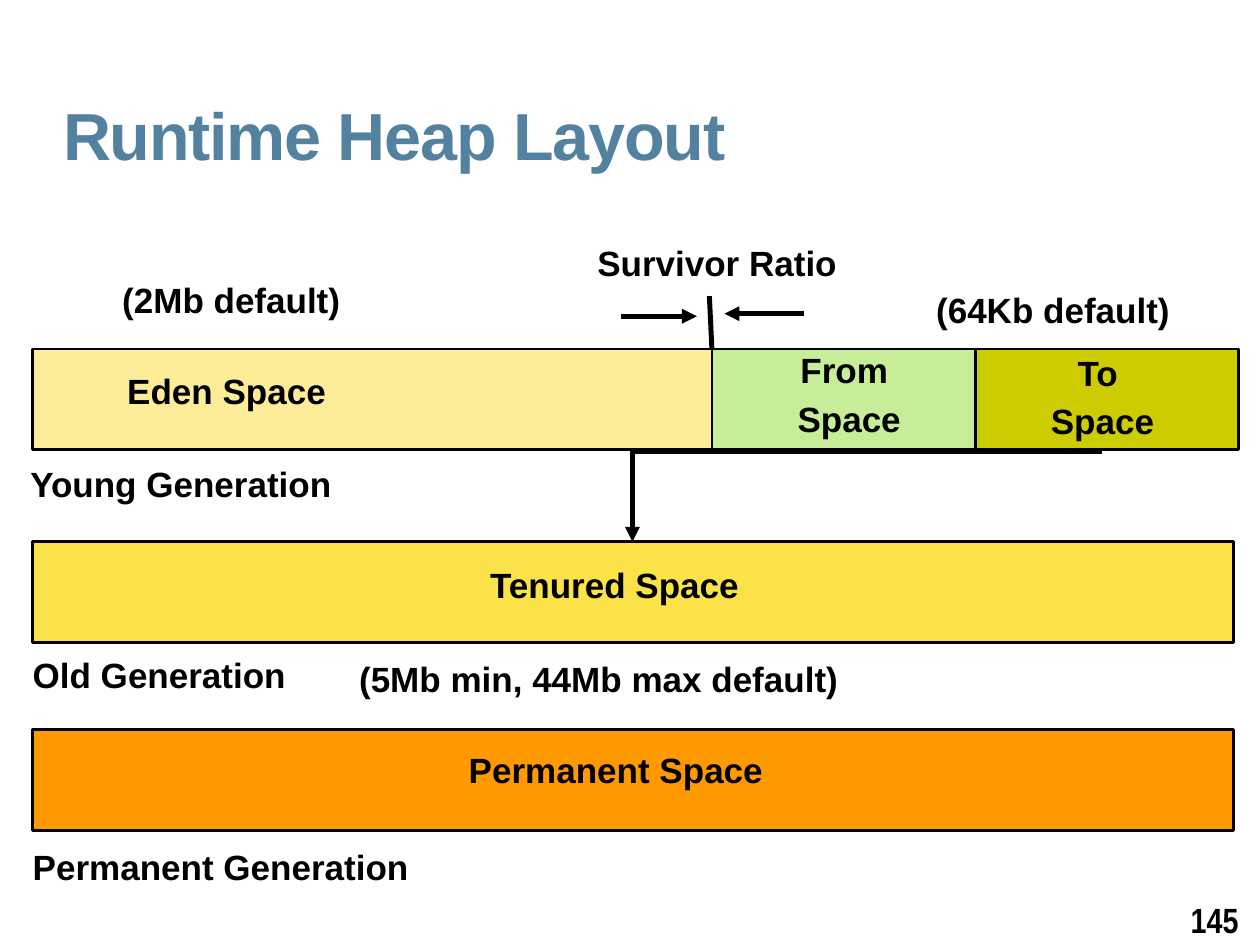
from lxml import etree
from pptx import Presentation
from pptx.dml.color import RGBColor
from pptx.enum.shapes import MSO_CONNECTOR, MSO_SHAPE
from pptx.enum.text import MSO_ANCHOR, PP_ALIGN
from pptx.oxml.ns import qn
from pptx.util import Inches, Pt

BLACK = RGBColor(0x00, 0x00, 0x00)
TITLE_BLUE = RGBColor(0x53, 0x82, 0xA1)
EDEN = RGBColor(0xFD, 0xED, 0x99)
FROM = RGBColor(0xC8, 0xED, 0x99)
TO = RGBColor(0xCC, 0xCC, 0x00)
TENURED = RGBColor(0xFB, 0xE2, 0x49)
PERMANENT = RGBColor(0xFF, 0x99, 0x00)

LEFT, BAR_HEIGHT, LABEL_HEIGHT = 0.26, 0.8, 0.41
YOUNG_TOP, OLD_TOP, PERMANENT_TOP = 2.77, 4.3, 5.79
FULL_WIDTH, EDEN_WIDTH, SURVIVOR_WIDTH = 9.53, 5.4, 2.09
FROM_LEFT = 5.65
TO_LEFT = FROM_LEFT + SURVIVOR_WIDTH

# left, top, width, fill
SPACES = [
    (LEFT, OLD_TOP, FULL_WIDTH, TENURED),
    (LEFT, PERMANENT_TOP, FULL_WIDTH, PERMANENT),
    (LEFT, YOUNG_TOP, EDEN_WIDTH, EDEN),
    (FROM_LEFT, YOUNG_TOP, SURVIVOR_WIDTH, FROM),
    (TO_LEFT, YOUNG_TOP, SURVIVOR_WIDTH, TO),
]

# text, left, top, width
LABELS = [
    ("Tenured Space", 3.89, 4.52, 2.53),
    ("Permanent Space", 3.72, 5.99, 2.99),
    ("Permanent Generation", LEFT, 6.76, 4),
    ("Old Generation", LEFT, 5.24, 2.6),
    ("Young Generation", 0.24, 3.72, 3.42),
    ("Eden Space", 1.01, 2.98, 2.39),
    ("From \nSpace", 6.16, 2.82, 1.16),
    ("To \nSpace", 7.99, 2.84, 1.52),
    ("Survivor Ratio", 4.74, 1.97, 2.42),
    ("(2Mb default)", 0.97, 2.26, 2.56),
    ("(64Kb default)", 7.43, 2.34, 2.44),
    ("(5Mb min, 44Mb max default)", 2.85, 5.27, 5.99),
]

# kind, start, end, arrowhead
LINES = [
    (MSO_CONNECTOR.ELBOW, (8.75, 3.58), (5.02, OLD_TOP), True),
    (MSO_CONNECTOR.STRAIGHT, (FROM_LEFT, YOUNG_TOP), (5.63, 2.35), False),
    (MSO_CONNECTOR.STRAIGHT, (4.93, 2.51), (5.53, 2.51), True),
    (MSO_CONNECTOR.STRAIGHT, (6.38, 2.49), (5.75, 2.49), True),
]


def place(shape, left, top, width, height):
    """Move and size a shape, in inches."""
    shape.left, shape.top = Inches(left), Inches(top)
    shape.width, shape.height = Inches(width), Inches(height)


def format_text(text_frame, size, color, spacing, before=0, font="Arial", wrap=True):
    """Remove the margins and format every paragraph; several lines are centred."""
    text_frame.word_wrap = wrap
    text_frame.vertical_anchor = MSO_ANCHOR.TOP
    text_frame.margin_left = text_frame.margin_right = 0
    text_frame.margin_top = text_frame.margin_bottom = 0
    centred = len(text_frame.paragraphs) > 1
    for paragraph in text_frame.paragraphs:
        paragraph.alignment = PP_ALIGN.CENTER if centred else PP_ALIGN.LEFT
        paragraph.line_spacing = spacing
        paragraph.space_before = Pt(before)
        for run in paragraph.runs:
            run.font.name = font
            run.font.size = Pt(size)
            run.font.bold = True
            run.font.color.rgb = color


def add_title(slide, text):
    """Fill the title placeholder."""
    title = slide.shapes.title
    place(title, 0.5, 0.82, 9.08, 0.69)
    title.text_frame.text = text
    format_text(title.text_frame, 38, TITLE_BLUE, 0.9)
    for run in title.text_frame.paragraphs[0].runs:
        run._r.get_or_add_rPr().set("spc", "-70")


def add_space(slide, left, top, width, fill):
    """Draw one memory space as an outlined bar."""
    bar = slide.shapes.add_shape(
        MSO_SHAPE.RECTANGLE, Inches(left), Inches(top), Inches(width), Inches(BAR_HEIGHT))
    bar.shadow.inherit = False
    bar.fill.solid()
    bar.fill.fore_color.rgb = fill
    bar.line.color.rgb = BLACK
    bar.line.width = Pt(1.45)


def add_label(slide, text, left, top, width, font="Arial", wrap=True):
    """Write one bold label."""
    height = LABEL_HEIGHT * len(text.split("\n"))
    box = slide.shapes.add_textbox(
        Inches(left), Inches(top), Inches(width), Inches(height))
    box.text_frame.text = text
    format_text(box.text_frame, 20, BLACK, 0.85, 7.2, font, wrap)


def add_line(slide, kind, start, end, arrowhead):
    """Draw a line; an elbow turns once, at its corner."""
    points = [Inches(value) for value in start + end]
    line = slide.shapes.add_connector(kind, *points)
    line.line.color.rgb = BLACK
    line.line.width = Pt(2.83)
    properties = line._element.spPr
    if kind == MSO_CONNECTOR.ELBOW:
        properties.find(qn("a:prstGeom")).set("prst", "bentConnector2")
    if arrowhead:
        etree.SubElement(properties.find(qn("a:ln")), qn("a:tailEnd"), type="triangle")
    etree.SubElement(properties, qn("a:effectLst"))


presentation = Presentation()
presentation.slide_width, presentation.slide_height = Inches(10), Inches(7.5)
slide = presentation.slides.add_slide(presentation.slide_layouts[5])

add_title(slide, "Runtime Heap Layout")
for space in SPACES:
    add_space(slide, *space)
for label in LABELS:
    add_label(slide, *label)
for line in LINES:
    add_line(slide, *line)
add_label(slide, "145", 9.45, 7.18, 0.5, "Arial Narrow", False)

presentation.save("out.pptx")
